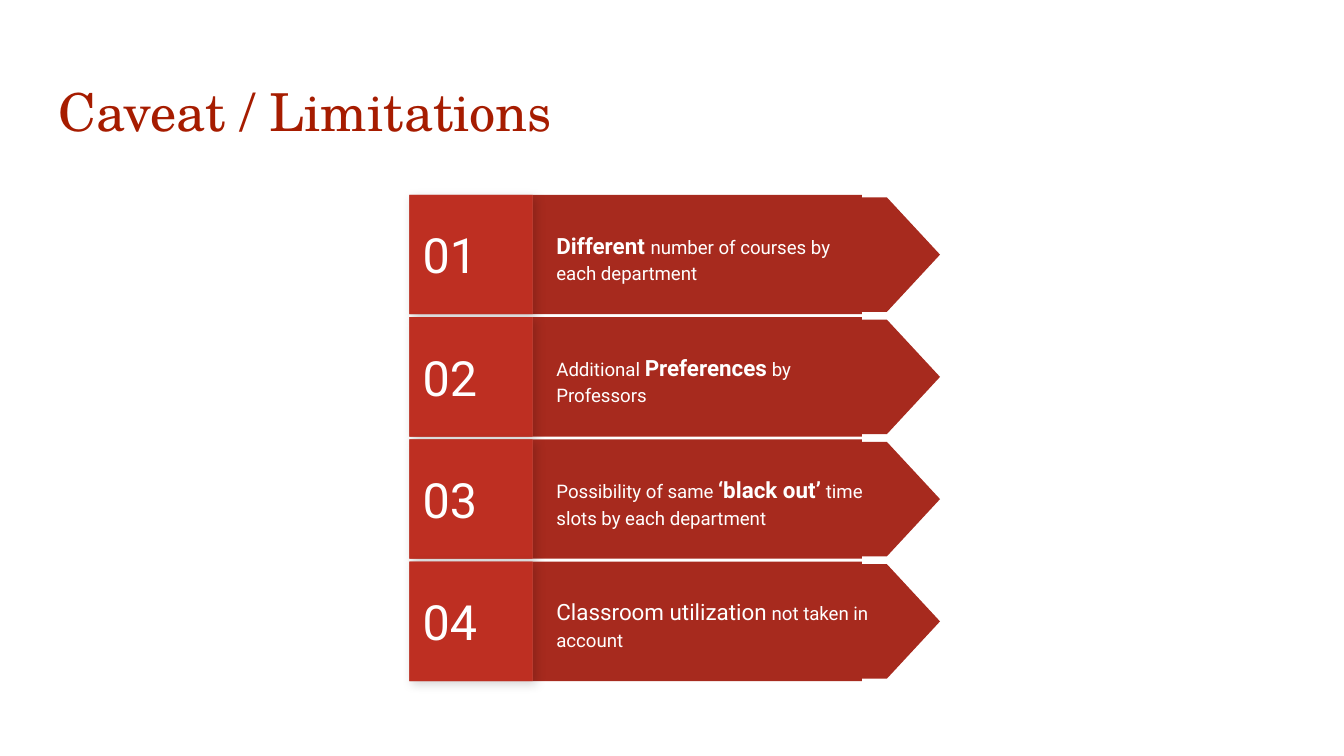
from lxml.etree import SubElement
from pptx import Presentation
from pptx.dml.color import RGBColor
from pptx.enum.shapes import MSO_SHAPE
from pptx.enum.text import MSO_ANCHOR, PP_ALIGN
from pptx.oxml.ns import qn
from pptx.util import Pt

DARK_RED, RED, SHADOW_RED = "A72A1E", "BE2F22", "B02C20"
TITLE_RED, WHITE = "A61C00", "FFFFFF"

# Each row: text width, then runs of (text, size, bold)
LIMITATIONS = [
    (180, [("Different ", 12, True),
           ("number of courses by each department", 10, False)]),
    (186, [("Additional ", 10, False), ("Preferences", 12, True),
           (" by Professors", 10, False)]),
    (192, [("Possibility of same ", 10, False), ("‘black out’", 12, True),
           (" time slots by each department", 10, False)]),
    (186, [("Classroom utilization", 12, False),
           (" not taken in account", 10, False)]),
]
FIRST_TOP, ROW_PITCH, ROW_HEIGHT = 104.4, 65.5, 64
NUMBER_LEFT, NUMBER_WIDTH = 219.4, 66
BODY_LEFT, BODY_WIDTH = 285.4, 176.4
ARROW_RIGHT, ARROW_LENGTH, ARROW_HEIGHT = 503.6, 142.4, 61.4


def color(hex_string):
    return RGBColor.from_string(hex_string)


def add_block(shapes, preset, left, top, width, height, fill):
    block = shapes.add_shape(preset, Pt(left), Pt(top), Pt(width), Pt(height))
    block.shadow.inherit = False
    block.fill.solid()
    block.fill.fore_color.rgb = color(fill)
    block.line.fill.background()
    return block


def add_text(shapes, left, top, width, height):
    box = shapes.add_textbox(Pt(left), Pt(top), Pt(width), Pt(height))
    return box


def format_text(shape, font_name, text_color, anchor):
    frame = shape.text_frame
    frame.word_wrap = True
    frame.vertical_anchor = anchor
    frame.margin_left = frame.margin_right = Pt(7.2)
    frame.margin_top = frame.margin_bottom = Pt(7.2)
    paragraph = frame.paragraphs[0]
    paragraph.alignment = PP_ALIGN.LEFT
    paragraph.font.name = font_name
    paragraph.font.color.rgb = color(text_color)
    return paragraph


def add_shadow(shape):
    effects = shape._element.spPr.find(qn("a:effectLst"))
    shadow = SubElement(effects, qn("a:outerShdw"), blurRad=str(Pt(5.6)),
                        dist=str(Pt(2.2)), dir="2700000", algn="tl",
                        rotWithShape="0")
    black = SubElement(shadow, qn("a:srgbClr"), val="000000")
    SubElement(black, qn("a:alpha"), val="17000")


def add_title(slide, title):
    box = add_text(slide.shapes, 24.5, 35.3, 671, 45.4)
    paragraph = format_text(box, "TeX Gyre Schola", TITLE_RED, MSO_ANCHOR.TOP)
    paragraph.text = title
    paragraph.font.size = Pt(28)


def add_limitation(slide, index, text_width, runs):
    shapes = slide.shapes.add_group_shape().shapes
    top = FIRST_TOP + index * ROW_PITCH

    # Body with its arrow tip, a downward shape turned to the right
    add_block(shapes, MSO_SHAPE.RECTANGLE, BODY_LEFT, top,
              BODY_WIDTH, ROW_HEIGHT, DARK_RED)
    arrow = add_block(shapes, MSO_SHAPE.FLOWCHART_OFFPAGE_CONNECTOR,
                      ARROW_RIGHT - (ARROW_LENGTH + ARROW_HEIGHT) / 2,
                      top + (ROW_HEIGHT - ARROW_LENGTH) / 2,
                      ARROW_HEIGHT, ARROW_LENGTH, DARK_RED)
    arrow.rotation = 270

    # Description
    description = add_text(shapes, 291, top + 7.9, text_width, 49.7)
    paragraph = format_text(description, "Roboto", WHITE, MSO_ANCHOR.MIDDLE)
    paragraph.line_spacing = 1.15
    for text, size, bold in runs:
        run = paragraph.add_run()
        run.text = text
        run.font.size = Pt(size)
        run.font.bold = bold

    # Number tile over its shadow
    tile = (MSO_SHAPE.RECTANGLE, NUMBER_LEFT, top, NUMBER_WIDTH, ROW_HEIGHT)
    add_shadow(add_block(shapes, *tile, SHADOW_RED))
    number = add_block(shapes, *tile, RED)
    paragraph = format_text(number, "Roboto", WHITE, MSO_ANCHOR.MIDDLE)
    paragraph.text = f"{index + 1:02d}"
    paragraph.font.size = Pt(26)


def main():
    presentation = Presentation()
    presentation.slide_width, presentation.slide_height = Pt(720), Pt(405)
    slide = presentation.slides.add_slide(presentation.slide_layouts[6])
    add_title(slide, "Caveat / Limitations")
    for index, (text_width, runs) in enumerate(LIMITATIONS):
        add_limitation(slide, index, text_width, runs)
    presentation.save("out.pptx")


if __name__ == "__main__":
    main()
